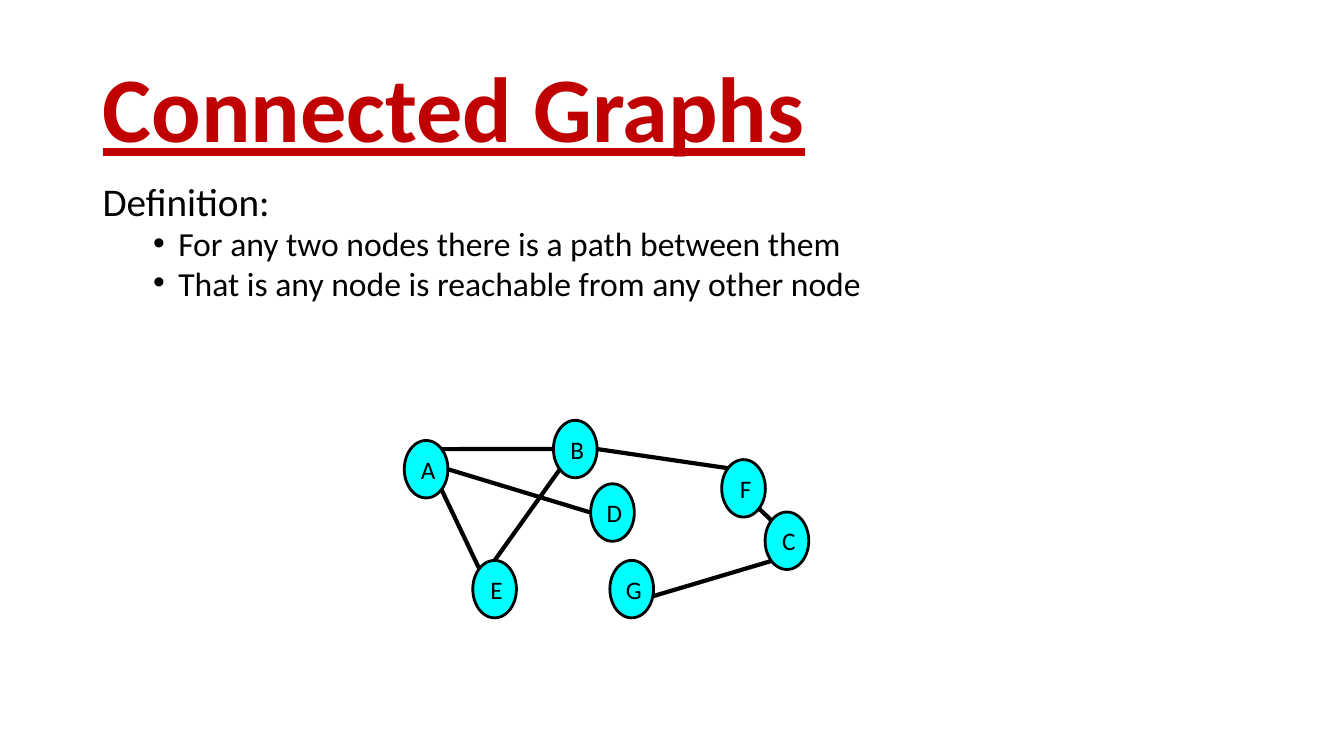
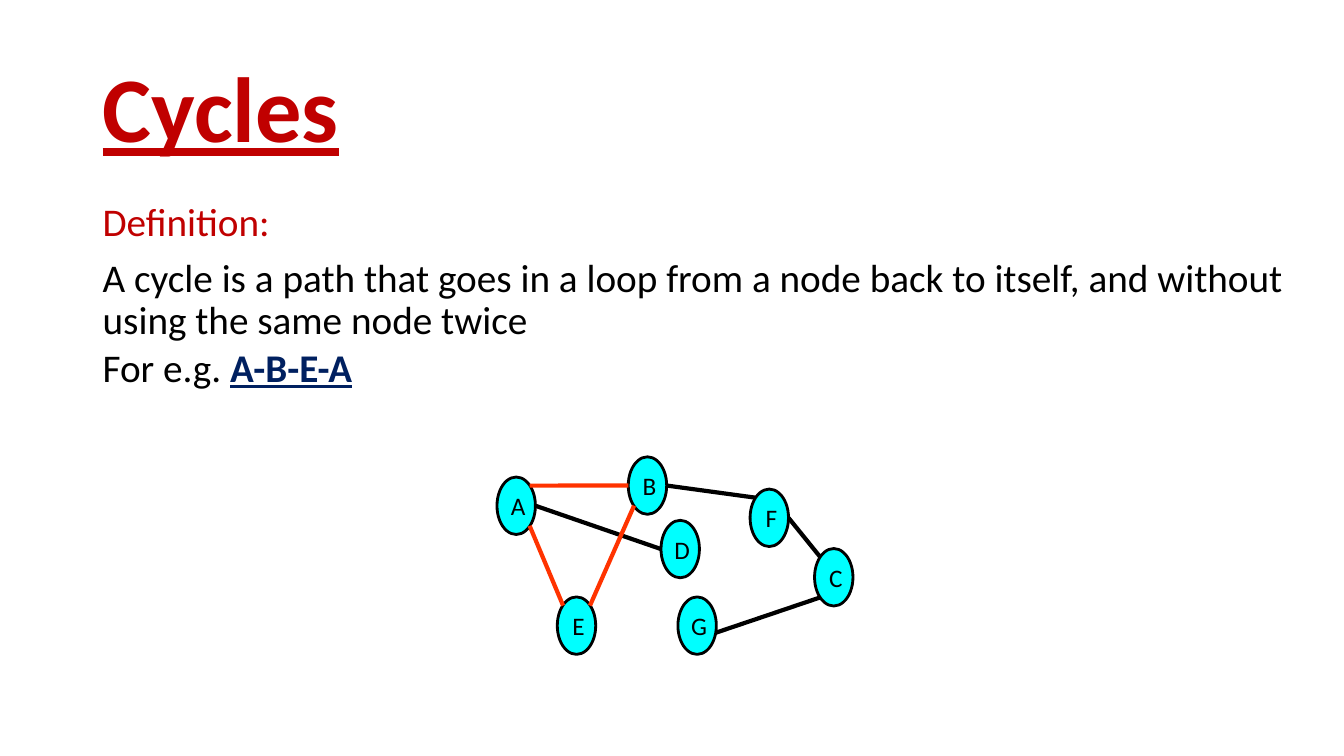
from lxml import etree
from pptx import Presentation
from pptx.dml.color import RGBColor
from pptx.enum.shapes import MSO_CONNECTOR, MSO_SHAPE
from pptx.enum.text import MSO_ANCHOR, PP_ALIGN
from pptx.oxml.ns import qn
from pptx.util import Inches, Pt

ELLIPSE = MSO_SHAPE.OVAL
STRAIGHT = MSO_CONNECTOR.STRAIGHT
MIDDLE = MSO_ANCHOR.MIDDLE
CENTER = PP_ALIGN.CENTER

FONT = "Calibri"
RED, BLACK, NAVY = "C00000", "000000", "002060"
CYAN, ORANGE = "00FFFF", "FF3300"


def color(value):
    return RGBColor.from_string(value)


def format_font(font, size, value, emphasis=False):
    """Emphasis means bold and underlined."""
    font.name = FONT
    font.size = Pt(size)
    font.color.rgb = color(value)
    if emphasis:
        font.bold = True
        font.underline = True


presentation = Presentation()
presentation.slide_width = Inches(13.33)
presentation.slide_height = Inches(7.5)
blank_layout = presentation.slide_layouts[6]

# The grid has 100 columns and 100 rows
COLUMN = presentation.slide_width / 100
ROW = presentation.slide_height / 100
LEFT = 6.9

# Node positions as columns and rows from node A
NODES = {
    "B": (11.1, -2.67), "C": (26.85, 9.46), "D": (13.87, 5.73),
    "E": (5.1, 15.86), "F": (23.62, 2.53), "G": (15.3, 15.86), "A": (0, 0),
}
NODE_WIDTH, NODE_HEIGHT = 3.25, 7.6

# Places on a node's outline as shares of its width and height
SITES = {
    "top": (0.5, 0), "left": (0, 0.5), "right": (1, 0.5), "low right": (1, 0.62),
    "top left": (0.15, 0.15), "top right": (0.85, 0.15),
    "bottom left": (0.15, 0.85), "bottom right": (0.85, 0.85),
}
EDGES = {
    "AD": ("right", "left"), "BE": ("bottom left", "top"),
    "BF": ("right", "top left"), "FC": ("bottom right", "top left"),
    "AE": ("bottom right", "top left"), "AB": ("top right", "left"),
    "CG": ("bottom left", "low right"),
}

# Paragraph: runs (text, colour, emphasis), size, line spacing, space before, bulleted
slides = [
    {
        "title": "Connected Graphs",
        "body": (24, 88.1, 18.1),
        "paragraphs": [
            ([("Definition:", BLACK, False)], 28, 0.8, 0, False),
            ([("For any two nodes there is a path between them", BLACK, False)],
             24, 0.8, 5, True),
            ([("That is any node is reachable from any other node", BLACK, False)],
             24, 0.8, 5, True),
        ],
        "origin": (30.08, 58.27), "stretch": 1,
        "nodes": NODES, "edges": EDGES, "cycle": (),
    },
    {
        "title": "Cycles",
        "body": (26.1, 89.5, 29.5),
        "paragraphs": [
            ([("Definition:", RED, False)], 28, 0.9, 0, False),
            ([("A cycle is a path that goes in a loop from a node back to itself, "
               "and without using the same node twice", BLACK, False)],
             28, 0.9, 10, False),
            ([("For e.g. ", BLACK, False), ("A-B-E-A", NAVY, True)], 28, 1.0, 0, False),
        ],
        "origin": (36.98, 63.1), "stretch": 0.88,
        "nodes": NODES | {"F": (21.4, 1.6)},
        "edges": EDGES | {"BE": ("bottom left", "top right"), "FC": ("right", "top left")},
        "cycle": ("AB", "BE", "AE"),
    },
]

for content in slides:
    slide = presentation.slides.add_slide(blank_layout)

    title = slide.shapes.add_textbox(
        int(LEFT * COLUMN), int(5.3 * ROW), int(86.3 * COLUMN), int(19.3 * ROW))
    title.text_frame.word_wrap = True
    title.text_frame.vertical_anchor = MIDDLE
    title.text_frame.text = content["title"]
    title.text_frame.paragraphs[0].line_spacing = 0.9
    format_font(title.text_frame.paragraphs[0].runs[0].font, 66, RED, True)

    top, width, height = content["body"]
    body = slide.shapes.add_textbox(
        int(LEFT * COLUMN), int(top * ROW), int(width * COLUMN), int(height * ROW))
    text_frame = body.text_frame
    text_frame.word_wrap = True
    for index, (runs, size, spacing, before, bulleted) in enumerate(content["paragraphs"]):
        paragraph = text_frame.add_paragraph() if index else text_frame.paragraphs[0]
        paragraph.line_spacing = spacing
        paragraph.space_before = Pt(before)
        if bulleted:
            paragraph.level = 1
            properties = paragraph._p.get_or_add_pPr()
            properties.set("marL", str(Inches(0.75)))
            properties.set("indent", str(Inches(-0.25)))
            etree.SubElement(properties, qn("a:buFont")).set("typeface", "Arial")
            etree.SubElement(properties, qn("a:buChar")).set("char", "•")
        for text, value, emphasis in runs:
            run = paragraph.add_run()
            run.text = text
            format_font(run.font, size, value, emphasis)

    graph = slide.shapes.add_group_shape()
    left, top = content["origin"]
    stretch = content["stretch"]
    nodes = {}
    for name, (column, row) in content["nodes"].items():
        node = graph.shapes.add_shape(
            ELLIPSE,
            int((left + column * stretch) * COLUMN), int((top + row) * ROW),
            int(NODE_WIDTH * stretch * COLUMN), int(NODE_HEIGHT * ROW))
        node.shadow.inherit = False
        node.fill.solid()
        node.fill.fore_color.rgb = color(CYAN)
        node.line.color.rgb = color(BLACK)
        node.line.width = Pt(2)
        label = node.text_frame
        label.word_wrap = False
        label.vertical_anchor = MIDDLE
        label.margin_left = Inches(0.04)
        label.margin_right = label.margin_top = label.margin_bottom = 0
        label.text = name
        label.paragraphs[0].alignment = CENTER
        format_font(label.paragraphs[0].runs[0].font, 18, BLACK)
        nodes[name] = node

    for edge, sites in content["edges"].items():
        ends = []
        for name, site in zip(edge, sites):
            node = nodes[name]
            across, down = SITES[site]
            ends += [int(node.left + across * node.width), int(node.top + down * node.height)]
        connector = graph.shapes.add_connector(STRAIGHT, *ends)
        connector.line.color.rgb = color(ORANGE if edge in content["cycle"] else BLACK)
        connector.line.width = Pt(3)
        etree.SubElement(connector._element.spPr, qn("a:effectLst"))

presentation.save("out.pptx")
